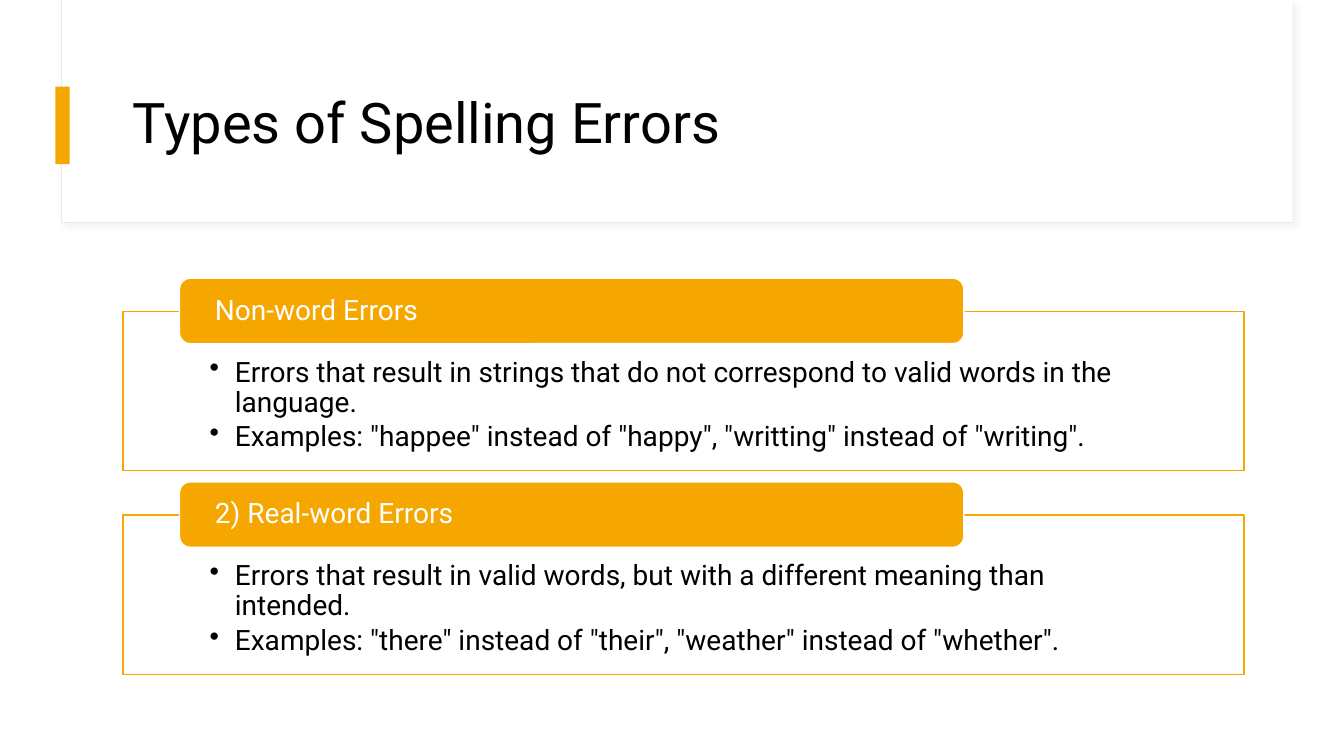
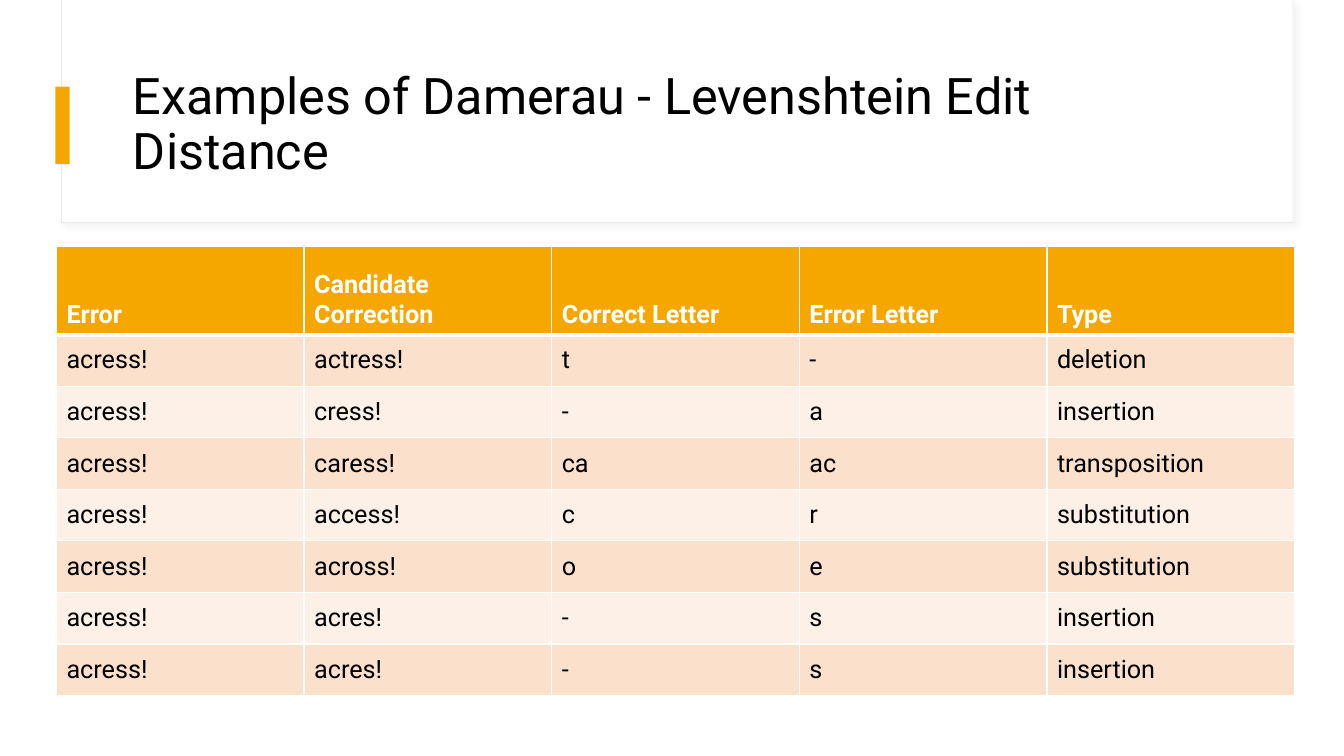
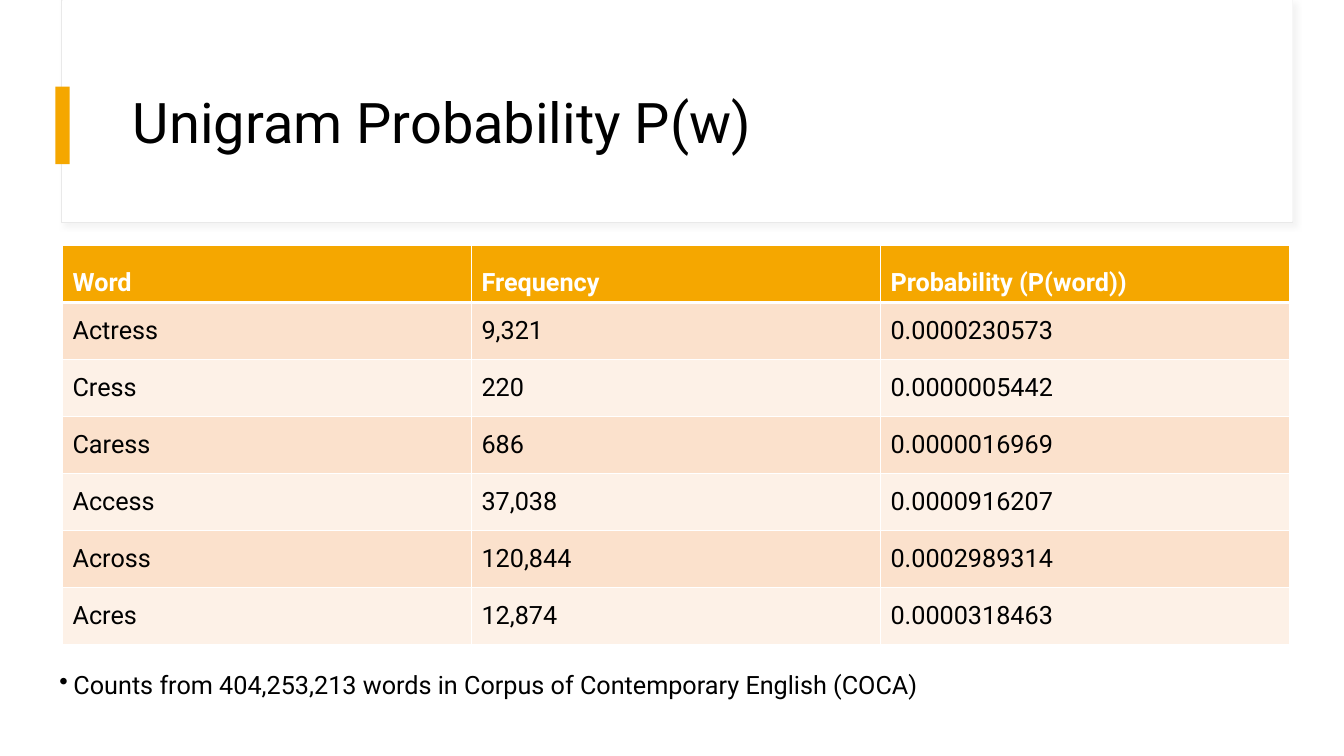
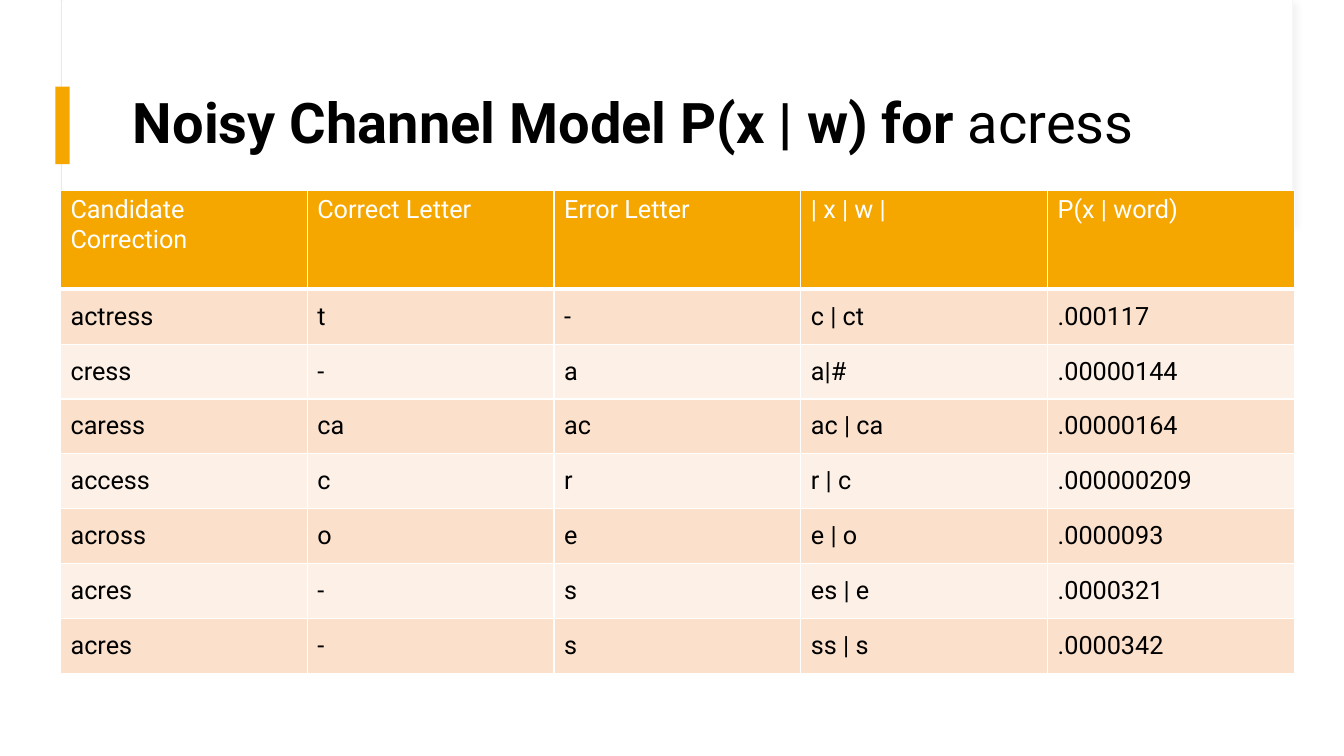
from lxml.etree import SubElement
from pptx import Presentation
from pptx.dml.color import RGBColor
from pptx.enum.shapes import MSO_SHAPE as Shape
from pptx.enum.text import MSO_ANCHOR as Anchor, PP_ALIGN as Align
from pptx.oxml.ns import qn
from pptx.util import Inches, Pt

FONT = "Roboto"
WHITE = RGBColor(0xFF, 0xFF, 0xFF)
BLACK = RGBColor(0x00, 0x00, 0x00)
ORANGE = RGBColor(0xF5, 0xA7, 0x00)
BAND_DARK = RGBColor(0xFB, 0xE1, 0xCC)
BAND_LIGHT = RGBColor(0xFD, 0xF1, 0xE7)
FRAME_GREY = RGBColor(0xE9, 0xE9, 0xE9)
SHADOW_GREY = RGBColor(0xD9, 0xD9, 0xD9)

ERROR_TYPES = [
    ("Non-word Errors", [
        "Errors that result in strings that do not correspond to valid words in the language.",
        'Examples: "happee" instead of "happy", "writting" instead of "writing".',
    ]),
    ("2) Real-word Errors", [
        "Errors that result in valid words, but with a different meaning than intended.",
        'Examples: "there" instead of "their", "weather" instead of "whether".',
    ]),
]

EDIT_DISTANCE = {
    "box": (0.56, 2.44, 12.28, 4.46),
    "header_height": 0.88,
    "rows": [
        ("Error", "Candidate Correction", "Correct Letter", "Error Letter", "Type"),
        ("acress!", "actress!", "t", "-", "deletion"),
        ("acress!", "cress!", "-", "a", "insertion"),
        ("acress!", "caress!", "ca", "ac", "transposition"),
        ("acress!", "access!", "c", "r", "substitution"),
        ("acress!", "across!", "o", "e", "substitution"),
        ("acress!", "acres!", "-", "s", "insertion"),
        ("acress!", "acres!", "-", "s", "insertion"),
    ],
}

UNIGRAM = {
    "box": (0.62, 2.43, 12.17, 3.97),
    "header_height": 0.57,
    "rows": [
        ("Word", "Frequency", "Probability (P(word))"),
        ("Actress", "9,321", "0.0000230573"),
        ("Cress", "220", "0.0000005442"),
        ("Caress", "686", "0.0000016969"),
        ("Access", "37,038", "0.0000916207"),
        ("Across", "120,844", "0.0002989314"),
        ("Acres", "12,874", "0.0000318463"),
    ],
}
UNIGRAM_NOTE = "Counts from 404,253,213 words in Corpus of Contemporary English (COCA)"

NOISY_CHANNEL = {
    "box": (0.6, 1.89, 12.24, 4.79),
    "header_height": 0.98,
    "header_bold": False,
    "header_anchor": Anchor.TOP,
    "rows": [
        ("Candidate Correction", "Correct Letter", "Error Letter", "| x | w |", "P(x | word)"),
        ("actress", "t", "-", "c | ct", ".000117"),
        ("cress", "-", "a", "a|#", ".00000144"),
        ("caress", "ca", "ac", "ac | ca", ".00000164"),
        ("access", "c", "r", "r | c", ".000000209"),
        ("across", "o", "e", "e | o", ".0000093"),
        ("acres", "-", "s", "es | e", ".0000321"),
        ("acres", "-", "s", "ss | s", ".0000342"),
    ],
}


def inches(values):
    return [Inches(value) for value in values]


def set_values(target, **values):
    for name, value in values.items():
        setattr(target, name, value)


def write_runs(paragraph, runs, size, color=BLACK):
    for text, bold in runs:
        run = paragraph.add_run()
        run.text = text
        set_values(run.font, name=FONT, size=Pt(size), bold=bold)
        run.font.color.rgb = color


def set_bullet(paragraph, indent):
    properties = paragraph._p.get_or_add_pPr()
    properties.set("marL", str(Inches(indent)))
    properties.set("indent", str(-Inches(indent)))
    SubElement(properties, qn("a:buChar")).set("char", "•")


def set_frame(frame, margins=(0.1, 0.05, 0.1, 0.05), anchor=Anchor.TOP):
    left, top, right, bottom = inches(margins)
    set_values(frame, word_wrap=True, vertical_anchor=anchor, margin_left=left,
               margin_top=top, margin_right=right, margin_bottom=bottom)


def add_block(slide, kind, box, fill, line=None, width=1):
    shape = slide.shapes.add_shape(kind, *inches(box))
    shape.shadow.inherit = False
    shape.fill.solid()
    shape.fill.fore_color.rgb = fill
    if line is None:
        shape.line.fill.background()
    else:
        shape.line.color.rgb = line
        shape.line.width = Pt(width)
    return shape


def add_soft_shadow(shape):
    effects = shape._element.spPr.find(qn("a:effectLst"))
    shadow = SubElement(effects, qn("a:outerShdw"), blurRad=str(Pt(4)), dist=str(Pt(3)),
                        dir=str(45 * 60000), algn="tl", rotWithShape="0")
    color = SubElement(shadow, qn("a:srgbClr"), val=str(SHADOW_GREY))
    SubElement(color, qn("a:alpha"), val="30000")


def add_titled_slide(presentation, title_runs, size=40):
    slide = presentation.slides.add_slide(presentation.slide_layouts[6])
    title_frame = add_block(slide, Shape.RECTANGLE, (0.61, 0, 12.21, 2.21), WHITE, FRAME_GREY, 0.75)
    add_soft_shadow(title_frame)
    add_block(slide, Shape.RECTANGLE, (0.62, 0, 12.2, 2.2), WHITE)
    add_block(slide, Shape.RECTANGLE, (0.55, 0.86, 0.14, 0.77), ORANGE)
    title = slide.shapes.add_textbox(*inches((1.22, 0.6, 11.12, 1.29))).text_frame
    set_frame(title, anchor=Anchor.MIDDLE)
    title.paragraphs[0].line_spacing = 0.9
    write_runs(title.paragraphs[0], title_runs, size)
    return slide


def add_error_type(slide, top, heading, points):
    panel = add_block(slide, Shape.RECTANGLE, (1.22, top, 11.12, 1.58), WHITE, ORANGE)
    set_frame(panel.text_frame, (0.86, 0.46, 0.86, 0.16))
    for index, point in enumerate(points):
        paragraph = panel.text_frame.paragraphs[0] if index == 0 else panel.text_frame.add_paragraph()
        set_bullet(paragraph, 0.25)
        set_values(paragraph, alignment=Align.LEFT, line_spacing=0.9, space_after=Pt(3))
        write_runs(paragraph, [(point, False)], 20)
    label = add_block(slide, Shape.ROUNDED_RECTANGLE, (1.78, top - 0.33, 7.78, 0.65), ORANGE, WHITE)
    set_frame(label.text_frame, (0.32, 0, 0.32, 0), Anchor.MIDDLE)
    paragraph = label.text_frame.paragraphs[0]
    set_values(paragraph, alignment=Align.LEFT, line_spacing=0.9)
    write_runs(paragraph, [(heading, False)], 20, WHITE)


def set_borders(cell, row_index):
    widths = {"lnL": 1, "lnR": 1, "lnT": 3 if row_index == 1 else 1, "lnB": 3 if row_index == 0 else 1}
    properties = cell._tc.get_or_add_tcPr()
    for tag, width in widths.items():
        border = SubElement(properties, qn(f"a:{tag}"), w=str(Pt(width)))
        SubElement(SubElement(border, qn("a:solidFill")), qn("a:srgbClr"), val=str(WHITE))


def add_banded_table(slide, box, header_height, rows, header_bold=True, header_anchor=Anchor.BOTTOM):
    table = slide.shapes.add_table(len(rows), len(rows[0]), *inches(box)).table
    table.horz_banding = False
    for column in table.columns:
        column.width = Inches(box[2] / len(rows[0]))
    body_height = (box[3] - header_height) / (len(rows) - 1)
    for row_index, values in enumerate(rows):
        is_header = row_index == 0
        table.rows[row_index].height = Inches(header_height if is_header else body_height)
        fill = ORANGE if is_header else BAND_DARK if row_index % 2 else BAND_LIGHT
        for column_index, value in enumerate(values):
            cell = table.cell(row_index, column_index)
            set_borders(cell, row_index)
            cell.fill.solid()
            cell.fill.fore_color.rgb = fill
            cell.vertical_anchor = header_anchor if is_header else Anchor.MIDDLE
            write_runs(cell.text_frame.paragraphs[0], [(value, is_header and header_bold)],
                       18, WHITE if is_header else BLACK)


def main():
    presentation = Presentation()
    set_values(presentation, slide_width=Inches(13.33), slide_height=Inches(7.5))

    slide = add_titled_slide(presentation, [("Types of Spelling Errors", False)])
    for index, (heading, points) in enumerate(ERROR_TYPES):
        add_error_type(slide, 3.09 + index * 2.02, heading, points)

    slide = add_titled_slide(presentation, [("Examples of Damerau - Levenshtein Edit Distance", False)], 36)
    add_banded_table(slide, **EDIT_DISTANCE)

    slide = add_titled_slide(presentation, [("Unigram Probability P(w)", False)])
    add_banded_table(slide, **UNIGRAM)
    note = slide.shapes.add_textbox(*inches((0.49, 6.59, 10.92, 0.4))).text_frame
    set_frame(note)
    set_bullet(note.paragraphs[0], 0.14)
    write_runs(note.paragraphs[0], [(UNIGRAM_NOTE, False)], 18)

    slide = add_titled_slide(presentation, [("Noisy Channel Model P(x | w) for ", True), ("acress", False)])
    add_banded_table(slide, **NOISY_CHANNEL)

    presentation.save("out.pptx")


if __name__ == "__main__":
    main()
